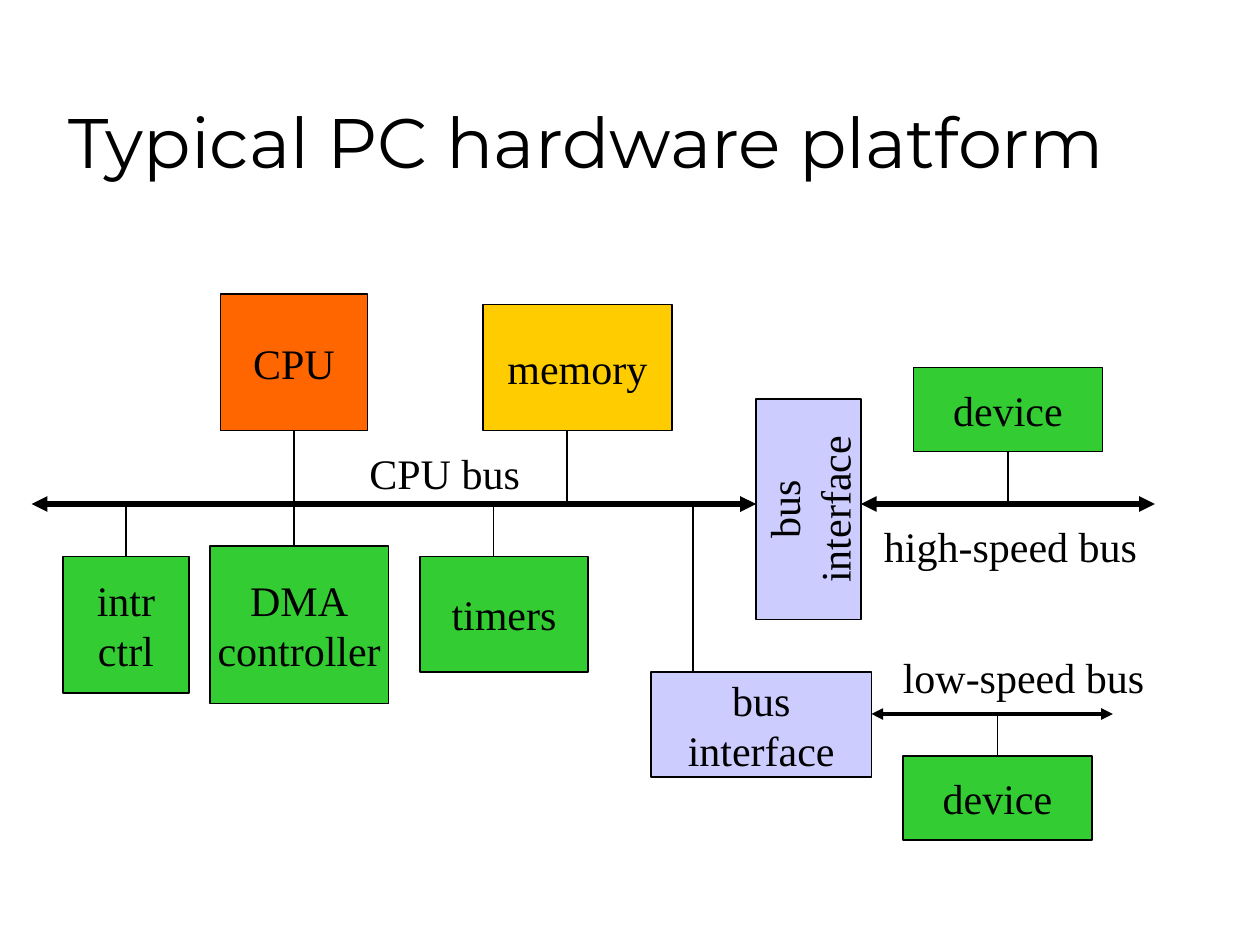
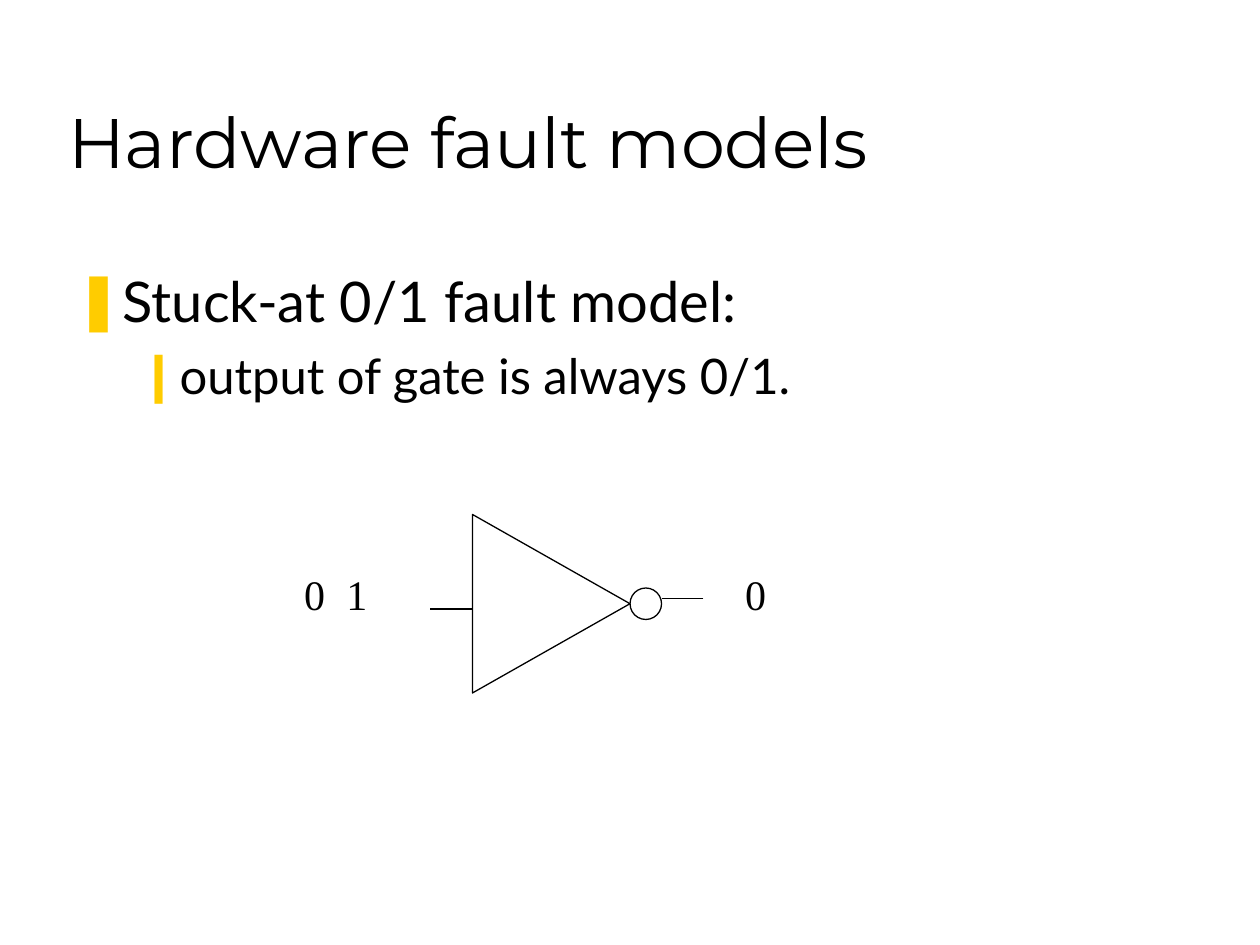
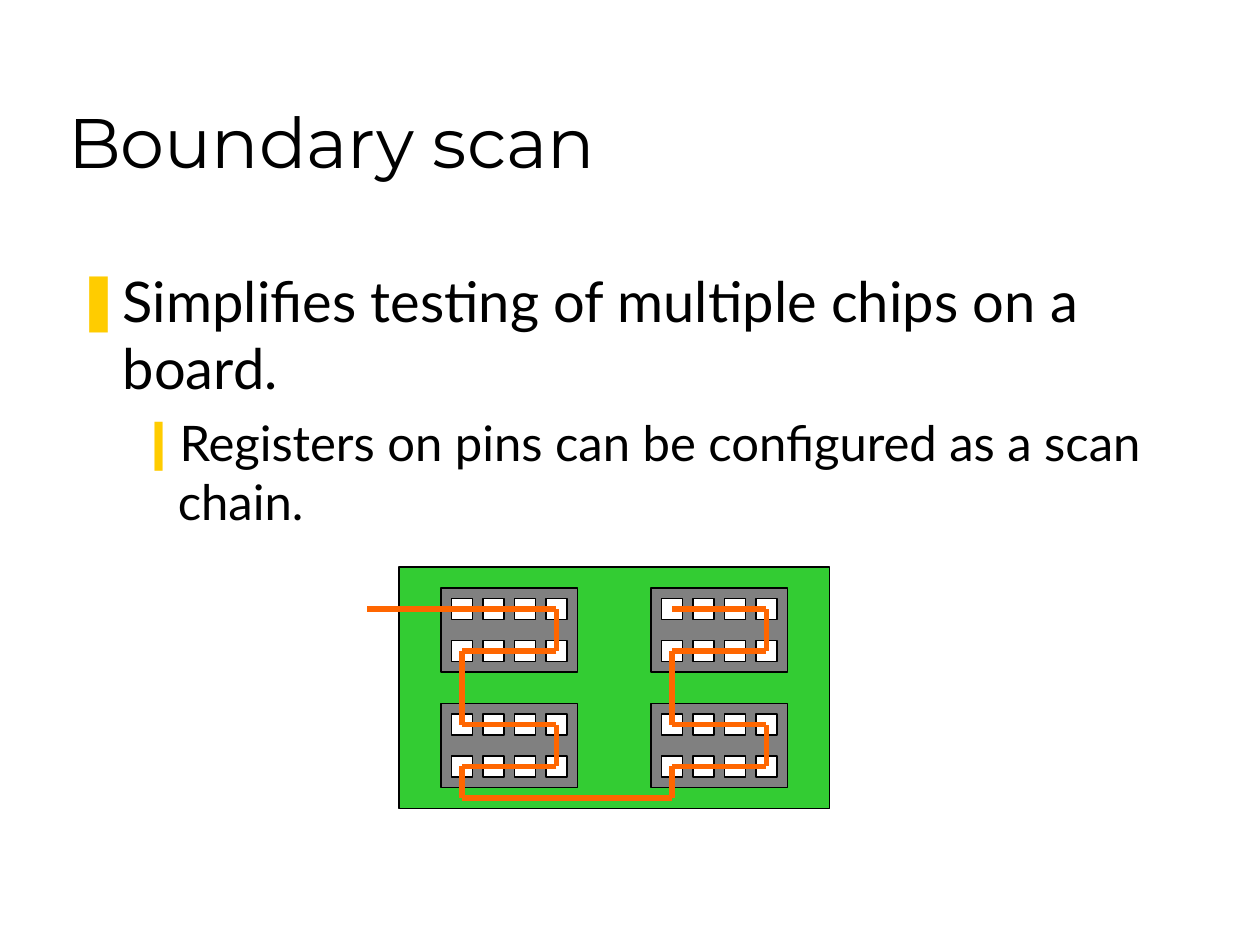
from itertools import pairwise, product

from lxml import etree
from pptx import Presentation
from pptx.dml.color import RGBColor
from pptx.enum.shapes import MSO_CONNECTOR, MSO_SHAPE
from pptx.enum.text import MSO_ANCHOR, MSO_AUTO_SIZE, PP_ALIGN
from pptx.oxml.ns import qn
from pptx.util import Cm, Pt

STRAIGHT = MSO_CONNECTOR.STRAIGHT
RECT = MSO_SHAPE.RECTANGLE
OVAL = MSO_SHAPE.OVAL
WEDGE = MSO_SHAPE.ISOSCELES_TRIANGLE
MIDDLE, BOTTOM = MSO_ANCHOR.MIDDLE, MSO_ANCHOR.BOTTOM
CENTER, LEFT = PP_ALIGN.CENTER, PP_ALIGN.LEFT
FIXED, GROW = MSO_AUTO_SIZE.NONE, MSO_AUTO_SIZE.SHAPE_TO_FIT_TEXT
BODY_LAYOUT, TITLE_LAYOUT = 1, 5
TOP_SIDE, BOTTOM_SIDE = 0, 2

COLORS = {
    "ink": "000000", "paper": "FFFFFF", "cpu": "FF6600", "memory": "FFCC00",
    "device": "33CC33", "bridge": "CCCCFF", "board": "33CC33",
    "chip": "808080", "scan": "FF6600", "bullet": "FFCC00",
}
TITLE_FONT, BODY_FONT, LABEL_FONT = "Montserrat", "Lato", "Times New Roman"
THIN = 0.75

# Drawing positions are counted in grid steps of a twelfth of an inch.
STEP = 2.54 / 12

# Bullet, size, space before, left margin and hanging indent in cm
LEVELS = [("❚", 32, 0, 0.95, 0.95), ("❙", 28, 7, 2.06, 0.79)]

# Name: lines, color, (left, top, width, height), rotation
PARTS = {
    "cpu": (["CPU"], "cpu", (21, 28, 14, 13), 0),
    "memory": (["memory"], "memory", (46, 29, 18, 12), 0),
    "dma": (["DMA", "controller"], "device", (20, 52, 17, 15), 0),
    "timers": (["timers"], "device", (40, 53, 16, 11), 0),
    "low bridge": (["bus", "interface"], "bridge", (62, 64, 21, 10), 0),
    "high bridge": (["bus", "interface"], "bridge", (66.5, 43.5, 21, 10), 270),
    "fast": (["device"], "device", (87, 35, 18, 8), 0),
    "slow": (["device"], "device", (86, 72, 18, 8), 0),
    "intr": (["intr", "ctrl"], "device", (6, 53, 12, 13), 0),
}
# Left end, right end, height, weight
BUSES = [(3, 72, 48, 3), (82, 110, 48, 3), (83, 106, 68, 2.25)]
# Part, side that meets the stub, x of the stub, height of its bus
STUBS = [
    ("cpu", BOTTOM_SIDE, 28, 48), ("memory", BOTTOM_SIDE, 54, 48),
    ("dma", TOP_SIDE, 28, 48), ("timers", TOP_SIDE, 47, 48),
    ("intr", TOP_SIDE, 12, 48), ("low bridge", TOP_SIDE, 66, 48),
    ("fast", BOTTOM_SIDE, 96, 48), ("slow", TOP_SIDE, 95, 68),
]
BUS_LABELS = [
    ("CPU bus", (34, 42, 17, 6)),
    ("high-speed bus", (83, 49, 27, 6)),
    ("low-speed bus", (84.8, 61.5, 26, 6)),
]

FAULT = ["Stuck-at 0/1 fault model:", "output of gate is always 0/1."]
GATE = [(WEDGE, (44, 50, 17, 15)), (OVAL, (60, 56, 3, 3))]
WIRES = [((45, 58), (41, 58)), ((67, 57), (63, 57))]
SIGNALS = [("0", 27.8), ("1", 31.8), ("0", 69.8)]

SCAN = ["Simplifies testing of multiple chips on a board.",
        "Registers on pins can be configured as a scan chain."]
BOARD = (38, 54, 41, 23)
CHIP_LEFTS, CHIP_TOPS = (42, 62), (56, 67)
PIN_TOPS, PIN_LEFTS = (1, 5), (1, 4, 7, 10)


def grid(*steps):
    return [Cm(n * STEP) for n in steps]


def color(name):
    return RGBColor.from_string(COLORS[name])


def write(par, text, font, size):
    run = par.add_run()
    run.text = text
    run.font.name = font
    run.font.size = Pt(size)
    run.font.color.rgb = color("ink")


def start(deck, layout, title):
    """Add a slide with its title."""
    slide = deck.slides.add_slide(deck.slide_layouts[layout])
    head = slide.shapes.title
    head.left, head.top, head.width, head.height = (
        Cm(1.12), Cm(0.63), Cm(21.59), Cm(3.17))
    frame = head.text_frame
    frame.vertical_anchor, frame.auto_size = BOTTOM, FIXED
    par = frame.paragraphs[0]
    par.alignment = LEFT
    write(par, title, TITLE_FONT, 40)
    return slide


def fill_body(slide, lines, height):
    """Put one line on each outline level."""
    body = slide.placeholders[1]
    body.left, body.top, body.width, body.height = (
        Cm(1.27), Cm(5.24), Cm(22.71), Cm(height))
    frame = body.text_frame
    frame.auto_size = FIXED
    for depth, (text, style) in enumerate(zip(lines, LEVELS)):
        mark, size, gap, margin, hang = style
        par = frame.add_paragraph() if depth else frame.paragraphs[0]
        par.level = depth
        props = par._p.get_or_add_pPr()
        props.set("marL", str(Cm(margin)))
        props.set("indent", str(-Cm(hang)))
        tint = etree.SubElement(props, qn("a:buClr"))
        etree.SubElement(tint, qn("a:srgbClr"), val=COLORS["bullet"])
        etree.SubElement(props, qn("a:buChar"), char=mark)
        par.space_before = Pt(gap)
        write(par, text, BODY_FONT, size)


def block(shapes, kind, place, tint, lines=(), turn=0):
    """Draw an outlined shape with centred lines of text."""
    shape = shapes.add_shape(kind, *grid(*place))
    shape.shadow.inherit = False
    shape.rotation = turn
    shape.fill.solid()
    shape.fill.fore_color.rgb = color(tint)
    shape.line.color.rgb = color("ink")
    shape.line.width = Pt(THIN)
    if lines:
        frame = shape.text_frame
        frame.word_wrap, frame.vertical_anchor = False, MIDDLE
        for i, text in enumerate(lines):
            par = frame.add_paragraph() if i else frame.paragraphs[0]
            par.alignment = CENTER
            write(par, text, LABEL_FONT, 24)
    return shape


def link(shapes, begin, end, tint="ink", weight=THIN, arrows=False):
    line = shapes.add_connector(STRAIGHT, *grid(*begin, *end))
    line.line.color.rgb = color(tint)
    line.line.width = Pt(weight)
    props = line._element.spPr
    if arrows:
        for tip in ("a:headEnd", "a:tailEnd"):
            etree.SubElement(props.find(qn("a:ln")), qn(tip), type="triangle")
    etree.SubElement(props, qn("a:effectLst"))
    return line


def label(shapes, text, place):
    frame = shapes.add_textbox(*grid(*place)).text_frame
    frame.word_wrap, frame.auto_size = False, GROW
    write(frame.paragraphs[0], text, LABEL_FONT, 24)


def draw_platform(deck):
    shapes = start(deck, TITLE_LAYOUT, "Typical PC hardware platform").shapes
    boxes = {}
    for name, (lines, tint, place, turn) in PARTS.items():
        boxes[name] = block(shapes, RECT, place, tint, lines, turn)
    for left, right, y, weight in BUSES:
        link(shapes, (left, y), (right, y), weight=weight, arrows=True)
    for name, side, x, bus in STUBS:
        left, top, width, height = PARTS[name][2]
        edge = top + height if side == BOTTOM_SIDE else top
        stub = link(shapes, (x, edge), (x, bus))
        if x == left + width / 2:
            stub.begin_connect(boxes[name], side)
    for text, place in BUS_LABELS:
        label(shapes, text, place)


def draw_fault(deck):
    slide = start(deck, BODY_LAYOUT, "Hardware fault models")
    fill_body(slide, FAULT, 3.43)
    gate = slide.shapes.add_group_shape().shapes
    for kind, place in GATE:
        block(gate, kind, place, "paper", turn=90)
    for begin, end in WIRES:
        link(gate, begin, end)
    for text, x in SIGNALS:
        label(slide.shapes, text, (x, 53.55, 4.3, 6))


def scan_path():
    """Trace the chain down the left chips and up the right ones."""
    inner, outer = PIN_LEFTS[0] + 1, PIN_LEFTS[-1] + 1
    rows = [top + pin + 1 for top, pin in product(CHIP_TOPS, PIN_TOPS)]
    sides = []
    for left in CHIP_LEFTS:
        near, far = left + inner, left + outer
        turns = [(near, far), (far, near)] * len(CHIP_TOPS)
        sides.append([(x, y) for y, ends in zip(rows, turns) for x in ends])
    down, up = sides[0], sides[1][::-1]
    low = rows[-1] + 3
    down[0] = (BOARD[0] - 3, rows[0])
    return down + [(down[-1][0], low), (up[0][0], low)] + up


def draw_scan(deck):
    slide = start(deck, BODY_LAYOUT, "Boundary scan")
    fill_body(slide, SCAN, 11.58)
    block(slide.shapes, RECT, BOARD, "board")
    for left, top in product(CHIP_LEFTS, CHIP_TOPS):
        chip = slide.shapes.add_group_shape().shapes
        block(chip, RECT, (left, top, 13, 8), "chip")
        for y, x in product(PIN_TOPS, PIN_LEFTS):
            block(chip, RECT, (left + x, top + y, 2, 2), "paper")
    chain = slide.shapes.add_group_shape().shapes
    for begin, end in pairwise(scan_path()):
        link(chain, begin, end, "scan", 3)


def main():
    deck = Presentation()
    deck.slide_width, deck.slide_height = Cm(25.4), Cm(19.05)
    draw_platform(deck)
    draw_fault(deck)
    draw_scan(deck)
    deck.save("out.pptx")


if __name__ == "__main__":
    main()
